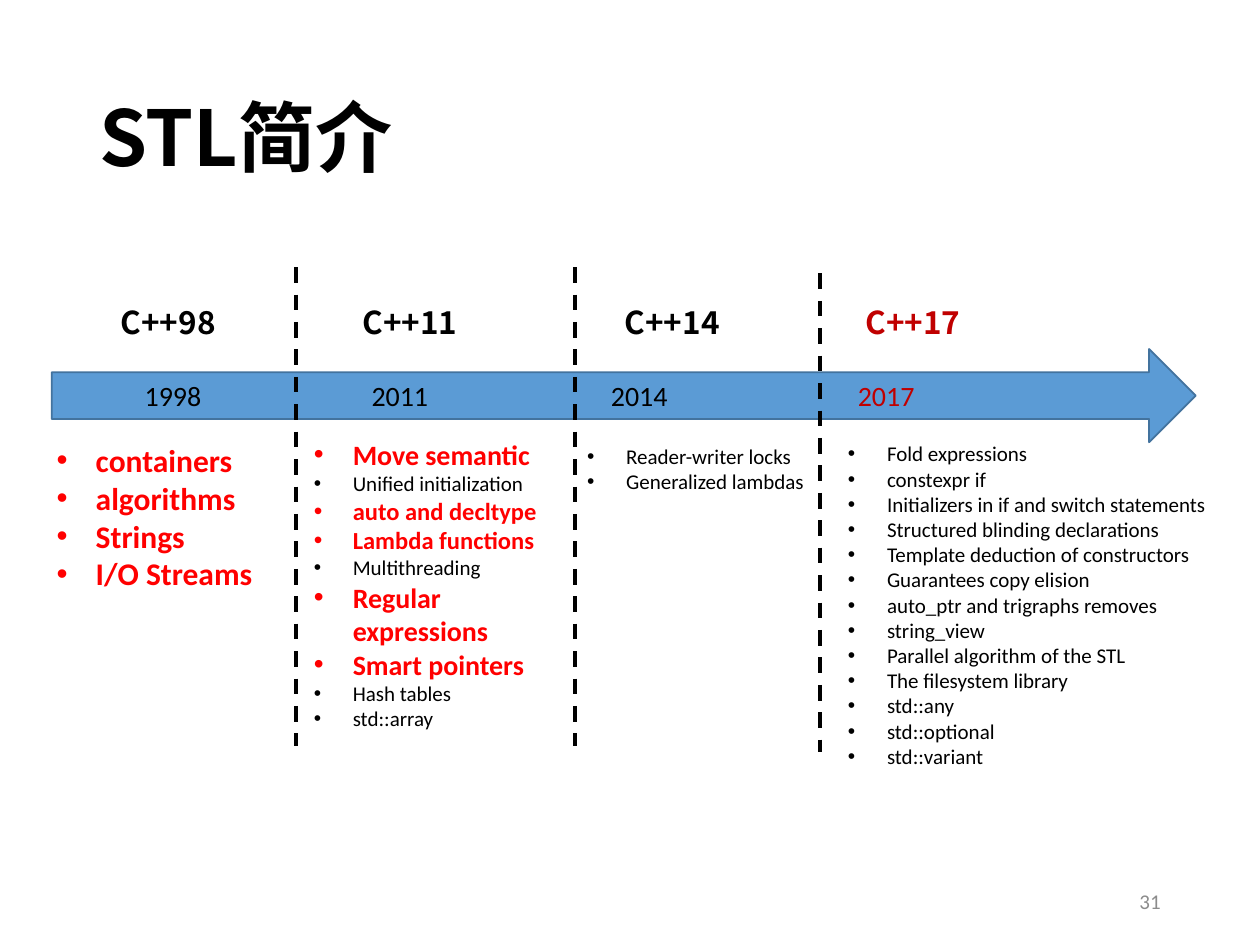
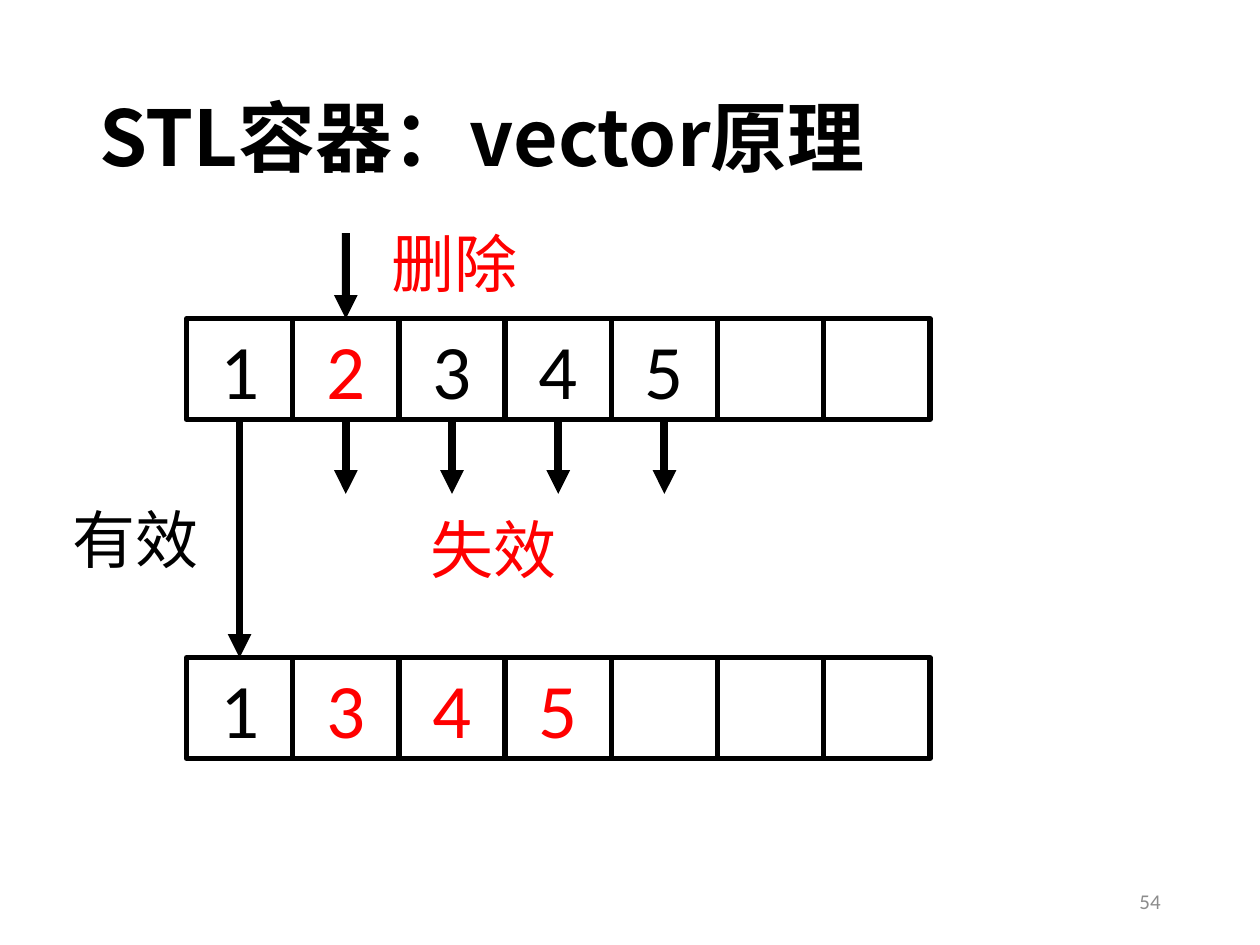
from lxml.etree import SubElement
from pptx import Presentation
from pptx.dml.color import RGBColor
from pptx.enum.dml import MSO_LINE
from pptx.enum.shapes import MSO_CONNECTOR, MSO_SHAPE
from pptx.enum.text import MSO_ANCHOR, MSO_AUTO_SIZE, PP_ALIGN
from pptx.oxml.ns import qn
from pptx.util import Inches, Pt

BLACK = RGBColor(0, 0, 0)
WHITE = RGBColor(255, 255, 255)
RED = RGBColor(255, 0, 0)
DARK_RED = RGBColor(0xC0, 0, 0)
GREY = RGBColor(0x8C, 0x8C, 0x8C)
BLUE = RGBColor(0x5B, 0x9B, 0xD5)
DARK_BLUE = RGBColor(0x43, 0x73, 0x9E)
LATIN = "Calibri"
CHINESE = "Noto Sans CJK SC"
COLUMNS, ROWS = 100, 75
COMPARISON, TITLE_ONLY = 4, 5
TOP, BOTTOM = 0, 2


class Sheet:
    def __init__(self, deck):
        self.deck = deck
        self.page = None

    def across(self, columns):
        return round(self.deck.slide_width * columns / COLUMNS)

    def down(self, rows):
        return round(self.deck.slide_height * rows / ROWS)

    def area(self, left, top, width, height):
        return self.across(left), self.down(top), self.across(width), self.down(height)

    def place(self, box, *area):
        box.left, box.top, box.width, box.height = self.area(*area)

    def start(self, layout, title, number):
        self.page = self.deck.slides.add_slide(self.deck.slide_layouts[layout])
        box = self.page.shapes.title
        self.place(box, 6.9, 4, 86.2, 14.5)
        box.text_frame.auto_size = MSO_AUTO_SIZE.NONE
        box.text_frame.vertical_anchor = MSO_ANCHOR.MIDDLE
        para = box.text_frame.paragraphs[0]
        para.alignment = PP_ALIGN.LEFT
        para.line_spacing = 0.9
        self.span(para, title, 44, BLACK, CHINESE, True)
        self.label((70.6, 69.5, 22.5, 4), number, 12, GREY, LATIN,
                   align=PP_ALIGN.RIGHT, anchor=MSO_ANCHOR.MIDDLE)

    def span(self, para, text, size, color, font=LATIN, bold=False):
        span = para.add_run()
        span.text = text
        span.font.size = Pt(size)
        span.font.bold = bold
        span.font.color.rgb = color
        span.font.name = font
        SubElement(span._r.get_or_add_rPr(), qn("a:ea")).set("typeface", CHINESE)

    def label(self, area, text, size, color, font=CHINESE, bold=False,
              align=PP_ALIGN.LEFT, anchor=MSO_ANCHOR.TOP, wrap=True):
        box = self.page.shapes.add_textbox(*self.area(*area))
        box.text_frame.word_wrap = wrap
        box.text_frame.vertical_anchor = anchor
        para = box.text_frame.paragraphs[0]
        para.alignment = align
        self.span(para, text, size, color, font, bold)

    def shape(self, kind, area, fill, border, weight):
        box = self.page.shapes.add_shape(kind, *self.area(*area))
        box.shadow.inherit = False
        box.fill.solid()
        box.fill.fore_color.rgb = fill
        box.line.color.rgb = border
        box.line.width = Pt(weight)
        box.text_frame.vertical_anchor = MSO_ANCHOR.MIDDLE
        return box

    def cells(self, top, values):
        step = 8.43
        boxes = []
        for index, (text, color) in enumerate(values):
            box = self.shape(MSO_SHAPE.RECTANGLE, (14.8 + index * step, top, step, 8),
                             WHITE, BLACK, 3)
            if text:
                para = box.text_frame.paragraphs[0]
                para.alignment = PP_ALIGN.CENTER
                self.span(para, text, 44, color)
            boxes.append(box)
        return boxes

    def bullets(self, box, area, items):
        self.place(box, *area)
        frame = box.text_frame
        frame.auto_size = MSO_AUTO_SIZE.NONE
        frame.vertical_anchor = MSO_ANCHOR.TOP
        for index, (text, size) in enumerate(items):
            para = frame.add_paragraph() if index else frame.paragraphs[0]
            para.alignment = PP_ALIGN.LEFT
            para.space_before = Pt(0)
            properties = para._p.get_or_add_pPr()
            properties.set("marL", str(Inches(0.31)))
            properties.set("indent", str(-Inches(0.31)))
            SubElement(properties, qn("a:buFont")).set("typeface", "Arial")
            SubElement(properties, qn("a:buChar")).set("char", "•")
            highlighted = size > 12
            self.span(para, text, size, RED if highlighted else BLACK, bold=highlighted)

    def line(self, start, end, weight, dashed=False, arrow=False):
        line = self.page.shapes.add_connector(
            MSO_CONNECTOR.STRAIGHT, self.across(start[0]), self.down(start[1]),
            self.across(end[0]), self.down(end[1]))
        line.line.color.rgb = BLACK
        line.line.width = Pt(weight)
        if dashed:
            line.line.dash_style = MSO_LINE.DASH
        properties = line._element.spPr
        if arrow:
            SubElement(properties.find(qn("a:ln")), qn("a:tailEnd")).set("type", "triangle")
        SubElement(properties, qn("a:effectLst"))
        return line

    def timeline(self, area, years):
        box = self.shape(MSO_SHAPE.RIGHT_ARROW, area, BLUE, DARK_BLUE, 1)
        para = box.text_frame.paragraphs[0]
        para.alignment = PP_ALIGN.LEFT
        stops = SubElement(para._p.get_or_add_pPr(), qn("a:tabLst"))
        for year, offset, color in years:
            stop = SubElement(stops, qn("a:tab"))
            stop.set("pos", str(self.across(offset)))
            stop.set("algn", "l")
            self.span(para, "\t" + year, 16, color)


def build_history(sheet):
    sheet.start(COMPARISON, "STL简介", "31")
    sheet.timeline((4.1, 27.7, 90.8, 7.4), [
        ("1998", 6.4, BLACK), ("2011", 24.4, BLACK),
        ("2014", 43.4, BLACK), ("2017", 63, DARK_RED)])
    for version, left, color in [("C++98", 8.6, BLACK), ("C++11", 27.8, BLACK),
                                 ("C++14", 48.6, BLACK), ("C++17", 67.7, DARK_RED)]:
        sheet.label((left, 23.55, 13, 4), version, 18, color, bold=True)
    for left, top in [(23.5, 21.2), (45.6, 21.2), (65.1, 21.7)]:
        sheet.line((left, top), (left, top + 38), 2.25, dashed=True)
    features = [
        ((3.5, 34.5, 21.5, 13.1), [
            ("containers", 18), ("algorithms", 18), ("Strings", 18), ("I/O Streams", 18)]),
        ((23.9, 34.2, 20.5, 24.6), [
            ("Move semantic", 16), ("Unified initialization", 12),
            ("auto and decltype", 14), ("Lambda functions", 14),
            ("Multithreading", 12), ("Regular expressions", 16),
            ("Smart pointers", 16), ("Hash tables", 12), ("std::array", 12)]),
        ((45.6, 34.7, 20.1, 5), [
            ("Reader-writer locks", 12), ("Generalized lambdas", 12)]),
        ((66.3, 34.5, 30.8, 27.3), [(text, 12) for text in (
            "Fold expressions", "constexpr if",
            "Initializers in if and switch statements",
            "Structured blinding declarations",
            "Template deduction of constructors", "Guarantees copy elision",
            "auto_ptr and trigraphs removes", "string_view",
            "Parallel algorithm of the STL", "The filesystem library",
            "std::any", "std::optional", "std::variant")]),
    ]
    for index, (area, items) in enumerate(features, 1):
        sheet.bullets(sheet.page.placeholders[index], area, items)


def build_vector(sheet):
    sheet.start(TITLE_ONLY, "STL容器：vector原理", "54")
    empty = ("", BLACK)
    before = sheet.cells(25.3, [("1", BLACK), ("2", RED), ("3", BLACK), ("4", BLACK),
                                ("5", BLACK), empty, empty])
    after = sheet.cells(52.2, [("1", BLACK), ("3", RED), ("4", RED), ("5", RED),
                               empty, empty, empty])
    erase = sheet.line((27.45, 18.5), (27.45, 25.3), 4.5, arrow=True)
    erase.end_connect(before[1], TOP)
    keep = sheet.line((19, 33.3), (19, 52.2), 4.5, arrow=True)
    keep.begin_connect(before[0], BOTTOM)
    keep.end_connect(after[0], TOP)
    for index, box in enumerate(before[1:5], 1):
        center = 14.8 + (index + 0.5) * 8.43
        lost = sheet.line((center, 33.3), (center, 39.2), 4.5, arrow=True)
        lost.begin_connect(box, BOTTOM)
    for text, left, top, color in [("删除", 30.1, 17.3, RED), ("有效", 4.8, 39.2, BLACK),
                                   ("失效", 33.2, 40, RED)]:
        sheet.label((left, top, 12.1, 7.1), text, 36, color, wrap=False)


def main():
    deck = Presentation()
    deck.slide_width, deck.slide_height = Inches(10), Inches(7.5)
    sheet = Sheet(deck)
    build_history(sheet)
    build_vector(sheet)
    deck.save("out.pptx")


if __name__ == "__main__":
    main()
